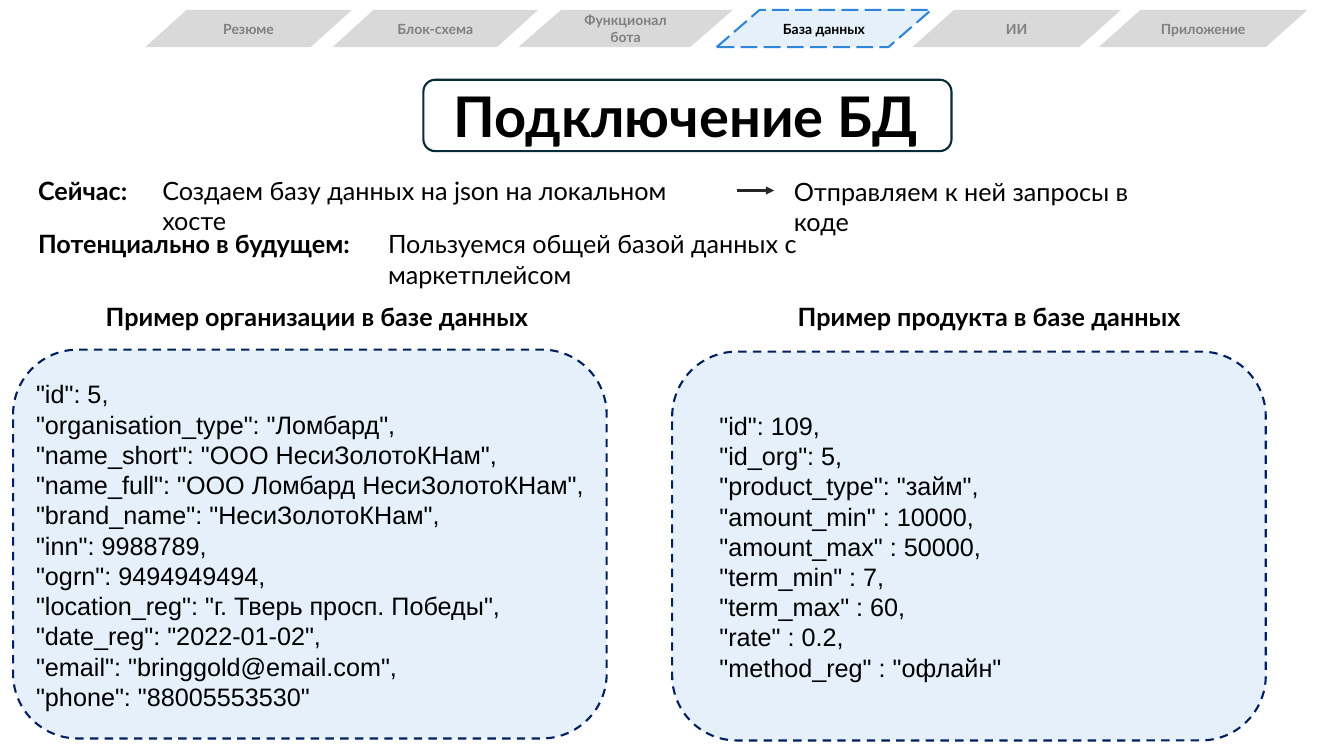
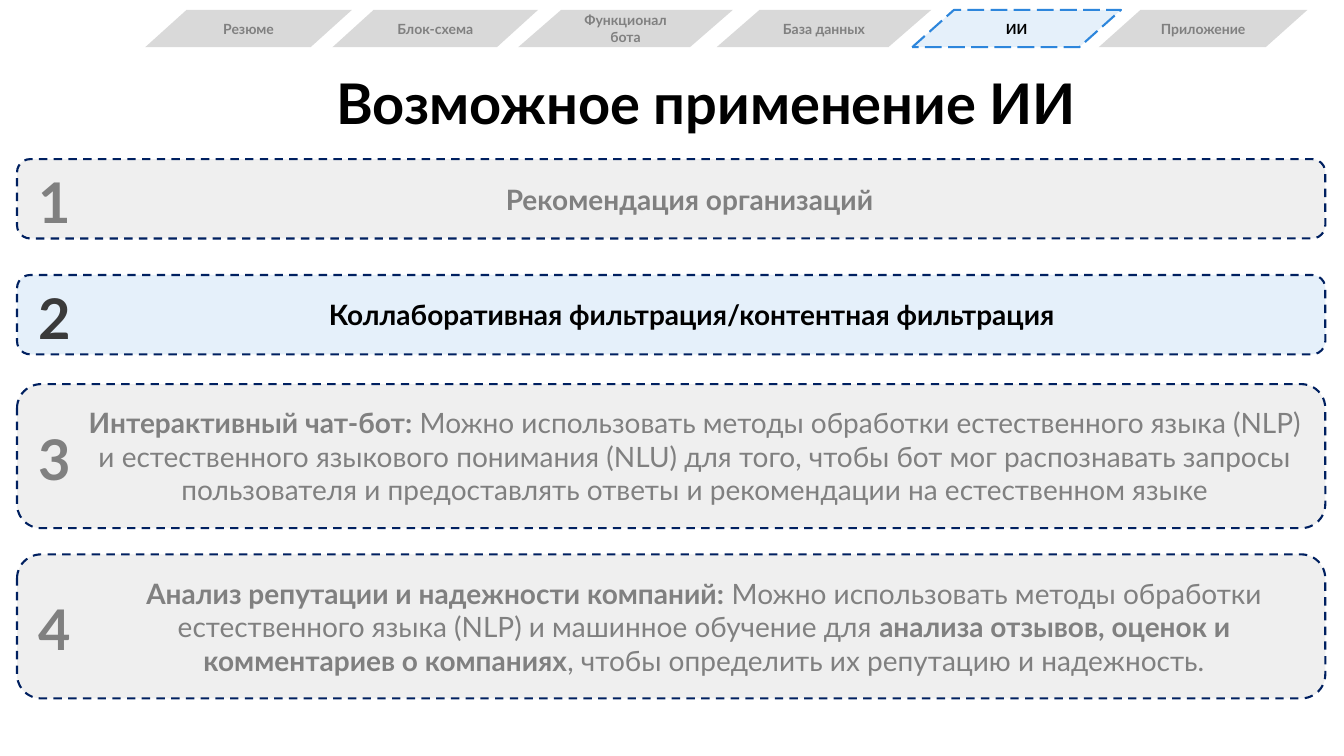
from lxml import etree
from pptx import Presentation
from pptx.dml.color import RGBColor
from pptx.enum.dml import MSO_LINE_DASH_STYLE as DASH
from pptx.enum.shapes import MSO_CONNECTOR, MSO_SHAPE
from pptx.enum.text import MSO_ANCHOR as ANCHOR, PP_ALIGN as ALIGN
from pptx.oxml.ns import qn
from pptx.util import Cm, Pt

COLORS = {
    "black": "000000", "white": "FFFFFF", "grey": "808080", "dark": "3A3A3A",
    "tab": "D9D9D9", "blue": "2D86DC", "navy": "002060", "frame": "092A39",
    "arrow": "262626",
}
FONT, CODE_FONT = "Lato", "Arial"

# All positions and sizes are in centimetres.
TABS = [  # label lines, left, width
    (["Резюме"], 3.66, 5.21),
    (["Блок-схема"], 8.38, 5.18),
    (["Функционал", "бота"], 13.06, 5.41),
    (["База данных"], 18.06, 5.41),
    (["ИИ"], 22.99, 5.26),
    (["Приложение"], 27.69, 5.26),
]
TAB_TOP, TAB_HEIGHT = 0.25, 0.94

NOTES = [  # text, bold, left, top, width
    ("Сейчас:", True, 0.71, 4.29, 2.97),
    ("Создаем базу данных на json на локальном хосте", False, 3.84, 4.29, 14.73),
    ("Отправляем к ней запросы в коде", False, 19.76, 4.32, 10.26),
    ("Потенциально в будущем:", True, 0.71, 5.64, 8.53),
    ("Пользуемся общей базой данных с маркетплейсом", False, 9.53, 5.64, 15.37),
]
ARROW = (18.57, 19.51, 4.8)  # start, end, height on the slide

RECORDS = [
    {
        "heading": "Пример организации в базе данных", "heading_left": 2.21,
        "panel": (0.33, 8.81), "code": (0.66, 9.42),
        "lines": [
            '"id": 5,',
            '"organisation_type": "Ломбард",',
            '"name_short": "ООО НесиЗолотоКНам",',
            '"name_full": "ООО Ломбард НесиЗолотоКНам",',
            '"brand_name": "НесиЗолотоКНам",',
            '"inn": 9988789,',
            '"ogrn": 9494949494,',
            '"location_reg": "г. Тверь просп. Победы",',
            '"date_reg": "2022-01-02",',
            '"email": "bringgold@email.com",',
            '"phone": "88005553530"',
        ],
    },
    {
        "heading": "Пример продукта в базе данных", "heading_left": 19.15,
        "panel": (16.94, 8.86), "code": (17.88, 10.21),
        "lines": [
            '"id": 109,',
            '"id_org": 5,',
            '"product_type": "займ",',
            '"amount_min" : 10000,',
            '"amount_max" : 50000,',
            '"term_min" : 7,',
            '"term_max" : 60,',
            '"rate" : 0.2,',
            '"method_reg" : "офлайн"',
        ],
    },
]
PANEL_SIZE = (14.96, 9.8)

IDEAS = [  # runs (text, bold), top, height, text left, text width, highlighted
    ([("Рекомендация организаций", True)], 4.01, 2, 2.03, 30.7, False),
    ([("Коллаборативная фильтрация/контентная фильтрация", True)],
     6.93, 2, 2.03, 30.81, True),
    ([("Интерактивный чат-бот:", True),
      (" Можно использовать методы обработки естественного языка (NLP) и "
       "естественного языкового понимания (NLU) для того, чтобы бот мог "
       "распознавать запросы пользователя и предоставлять ответы и "
       "рекомендации на естественном языке", False)],
     9.68, 3.63, 1.83, 31.37, False),
    ([("Анализ репутации и надежности компаний:", True),
      (" Можно использовать методы обработки естественного языка (NLP) и "
       "машинное обучение для ", False),
      ("анализа отзывов, оценок и комментариев о компаниях", True),
      (", чтобы определить их репутацию и надежность.", False)],
     13.97, 3.63, 2.24, 31.01, False),
]
BAND_LEFT, BAND_WIDTH = 0.43, 32.97


def rgb(name):
    return RGBColor.from_string(COLORS[name])


def write(sp, paragraphs, size=18, color="black", bold=False, font=FONT,
          align=ALIGN.LEFT, anchor=ANCHOR.TOP, spacing=None):
    """Fill a shape with paragraphs, each a string or a list of (text, bold)."""
    tf = sp.text_frame
    tf.word_wrap = True
    tf.vertical_anchor = anchor
    for i, runs in enumerate(paragraphs):
        p = tf.paragraphs[0] if i == 0 else tf.add_paragraph()
        p.alignment = align
        if spacing:
            p.line_spacing = spacing
        for text, is_bold in [(runs, bold)] if isinstance(runs, str) else runs:
            r = p.add_run()
            r.text = text
            r.font.name, r.font.size, r.font.bold = font, Pt(size), is_bold
            r.font.color.rgb = rgb(color)


def add_text(slide, box, paragraphs, **fmt):
    sp = slide.shapes.add_textbox(*map(Cm, box))
    write(sp, paragraphs, **fmt)


def add_box(slide, kind, box, fill, alpha=None, line=None, dash=None):
    """Draw a preset shape; alpha is the fill's opacity in percent."""
    sp = slide.shapes.add_shape(kind, *map(Cm, box))
    sp.shadow.inherit = False
    sp.fill.solid()
    sp.fill.fore_color.rgb = rgb(fill)
    if alpha:
        color = sp.fill._xPr.find(".//" + qn("a:srgbClr"))
        etree.SubElement(color, qn("a:alpha")).set("val", str(alpha * 1000))
    if line:
        sp.line.color.rgb = rgb(line)
        sp.line.width = Pt(1.5)
        if dash:
            sp.line.dash_style = dash
    else:
        sp.line.fill.background()
    return sp


def add_dashed_panel(slide, box, fill):
    add_box(slide, MSO_SHAPE.ROUNDED_RECTANGLE, box, fill, alpha=12,
            line="navy", dash=DASH.DASH)


def add_arrow(slide, start, end, y):
    line = slide.shapes.add_connector(
        MSO_CONNECTOR.STRAIGHT, Cm(start), Cm(y), Cm(end), Cm(y))
    line.line.color.rgb = rgb("arrow")
    line.line.width = Pt(1.5)
    etree.SubElement(line.line._get_or_add_ln(), qn("a:tailEnd")).set("type", "triangle")
    etree.SubElement(line._element.spPr, qn("a:effectLst"))


def add_title(slide, text, left, top, width):
    add_text(slide, (left, top, width, 1.96), [text], size=40, bold=True)


def add_tabs(slide, current):
    for label, left, width in TABS:
        active = label == [current]
        look = (dict(fill="blue", alpha=12, line="blue", dash=DASH.LONG_DASH)
                if active else dict(fill="tab"))
        sp = add_box(slide, MSO_SHAPE.FLOWCHART_DATA,
                     (left, TAB_TOP, width, TAB_HEIGHT), **look)
        write(sp, label, size=10, bold=True, color="black" if active else "grey",
              align=ALIGN.CENTER, anchor=ANCHOR.MIDDLE)


def new_slide(prs, current):
    slide = prs.slides.add_slide(prs.slide_layouts[6])
    add_tabs(slide, current)
    return slide


def build_database(prs):
    slide = new_slide(prs, "База данных")
    add_box(slide, MSO_SHAPE.ROUNDED_RECTANGLE, (10.67, 2.01, 13.31, 1.8),
            "white", line="frame")
    add_title(slide, "Подключение БД", 11.18, 1.93, 12.29)
    for text, bold, left, top, width in NOTES:
        add_text(slide, (left, top, width, 1.02), [text], bold=bold)
    add_arrow(slide, *ARROW)
    for rec in RECORDS:
        add_dashed_panel(slide, rec["panel"] + PANEL_SIZE, "blue")
        add_text(slide, (rec["heading_left"], 7.47, 11.56, 1.02),
                 [rec["heading"]], bold=True, align=ALIGN.CENTER)
        add_text(slide, rec["code"] + (14.63, 0.76 * len(rec["lines"]) + 0.25),
                 rec["lines"], font=CODE_FONT, spacing=Pt(21.6))


def build_ai(prs):
    slide = new_slide(prs, "ИИ")
    add_title(slide, "Возможное применение ИИ", 8.23, 1.6, 19.46)
    for number, (runs, top, height, left, width, active) in enumerate(IDEAS, 1):
        add_dashed_panel(slide, (BAND_LEFT, top, BAND_WIDTH, height),
                         "blue" if active else "grey")
        add_text(slide, (left, top, width, height), [runs], size=20,
                 color="black" if active else "grey",
                 align=ALIGN.CENTER, anchor=ANCHOR.MIDDLE)
        add_text(slide, (0.71, top + 0.05, 1.35, height), [str(number)], size=40,
                 bold=True, color="dark" if active else "grey",
                 anchor=ANCHOR.MIDDLE)


def main():
    prs = Presentation()
    prs.slide_width, prs.slide_height = Cm(33.87), Cm(19.05)
    build_database(prs)
    build_ai(prs)
    prs.save("out.pptx")


if __name__ == "__main__":
    main()
